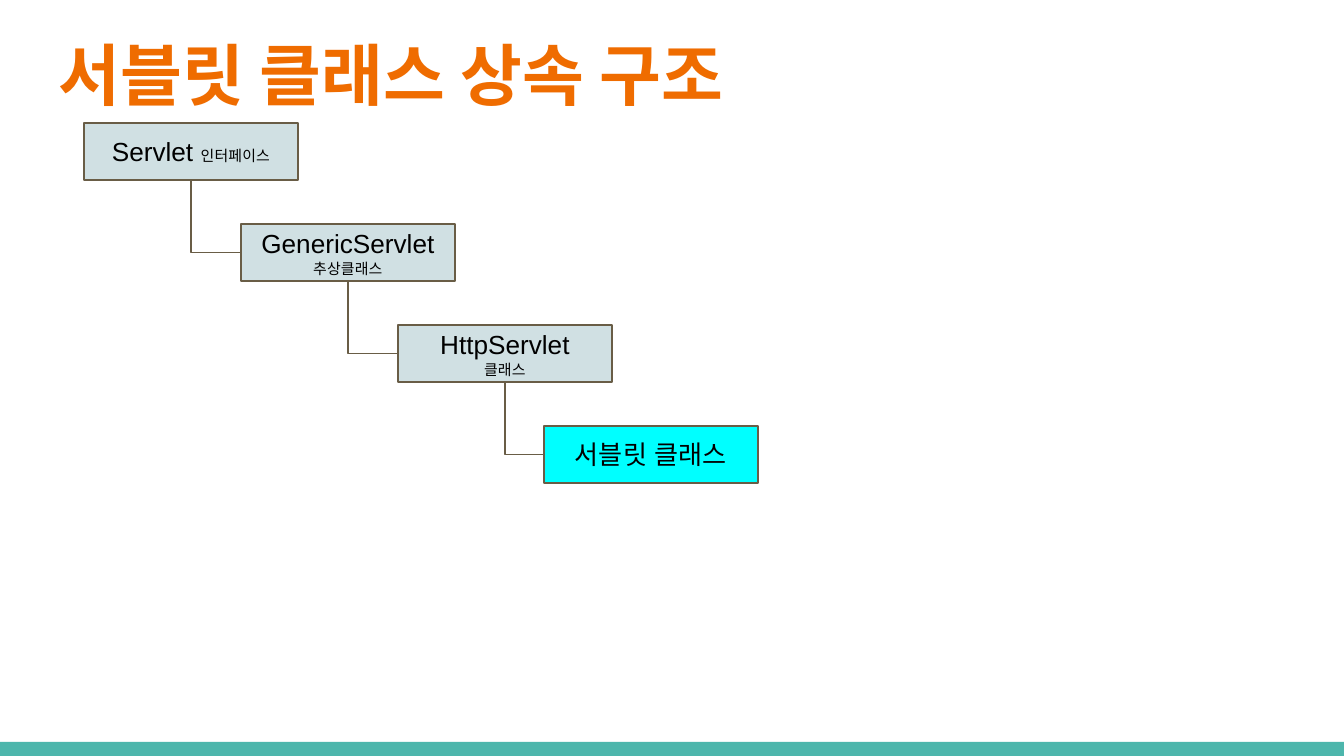
from lxml import etree
from pptx import Presentation
from pptx import util as u
from pptx.dml.color import RGBColor
from pptx.enum import shapes, text
from pptx.oxml.ns import qn

COLORS = {
    "title": "EF6C00",
    "bar": "4DB6AC",
    "base": "D0E0E3",
    "custom": "00FFFF",
    "line": "695D46",
    "text": "000000",
}
TITLE = "서블릿 클래스 상속 구조"
CLASSES = [
    (84, "base", [[("Servlet ", 14), ("인터페이스", 8)]]),
    (241, "base", [[("GenericServlet", 14)], [("추상클래스", 8)]]),
    (398, "base", [[("HttpServlet", 14)], [("클래스", 8)]]),
    (544, "custom", [[("서블릿 클래스", 14)]]),
]
BOX_TOP, BOX_STEP, BOX_W, BOX_H = 123, 101, 214, 57
INSET = 13


def px(n):
    return u.Emu(round(n * 914400 / 134.4))


def rgb(name):
    return RGBColor.from_string(COLORS[name])


def write(tf, paragraphs, font, color, align, anchor, bold=False):
    tf.word_wrap = True
    tf.vertical_anchor = anchor
    tf.margin_left = tf.margin_right = tf.margin_top = tf.margin_bottom = px(INSET)
    for i, runs in enumerate(paragraphs):
        p = tf.paragraphs[0] if i == 0 else tf.add_paragraph()
        p.alignment = align
        for words, size in runs:
            r = p.add_run()
            r.text = words
            r.font.size = u.Pt(size)
            r.font.bold = bold
            r.font.color.rgb = rgb(color)
            r.font.name = font
            etree.SubElement(r.font._element, qn("a:ea")).set("typeface", font)


def add_box(s, left, top, width, height, fill):
    sp = s.shapes.add_shape(shapes.MSO_SHAPE.RECTANGLE, px(left), px(top), px(width), px(height))
    sp.shadow.inherit = False
    sp.fill.solid()
    sp.fill.fore_color.rgb = rgb(fill)
    sp.line.fill.background()
    return sp


def add_elbow(s, x1, y1, x2, y2):
    cx, cy = (x1 + x2) / 2, (y1 + y2) / 2
    half_w, half_h = (y2 - y1) / 2, (x2 - x1) / 2
    c = s.shapes.add_connector(
        shapes.MSO_CONNECTOR.ELBOW,
        px(cx + half_w), px(cy - half_h), px(cx - half_w), px(cy + half_h),
    )
    pr = c._element.spPr
    pr.find(qn("a:xfrm")).set("rot", str(270 * 60000))
    pr.find(qn("a:prstGeom")).set("prst", "bentConnector2")
    c.line.color.rgb = rgb("line")
    c.line.width = u.Pt(0.75)
    etree.SubElement(pr, qn("a:effectLst"))


prs = Presentation()
prs.slide_width, prs.slide_height = px(1344), px(756)
s = prs.slides.add_slide(prs.slide_layouts[6])

add_box(s, 0, 742, 1344, 14, "bar")
title = s.shapes.add_textbox(px(46), px(20), px(1253), px(103))
write(title.text_frame, [[(TITLE, 36)]], "Arial Narrow", "title",
      text.PP_ALIGN.LEFT, text.MSO_ANCHOR.TOP, bold=True)

for i, (left, fill, paragraphs) in enumerate(CLASSES):
    top = BOX_TOP + i * BOX_STEP
    sp = add_box(s, left, top, BOX_W, BOX_H, fill)
    sp.line.color.rgb = rgb("line")
    sp.line.width = u.Pt(0.75)
    write(sp.text_frame, paragraphs, "Arial", "text",
          text.PP_ALIGN.CENTER, text.MSO_ANCHOR.MIDDLE)
    if i:
        parent_left = CLASSES[i - 1][0]
        add_elbow(s, parent_left + BOX_W / 2, top - BOX_STEP + BOX_H, left, top + BOX_H / 2)

prs.save("out.pptx")
